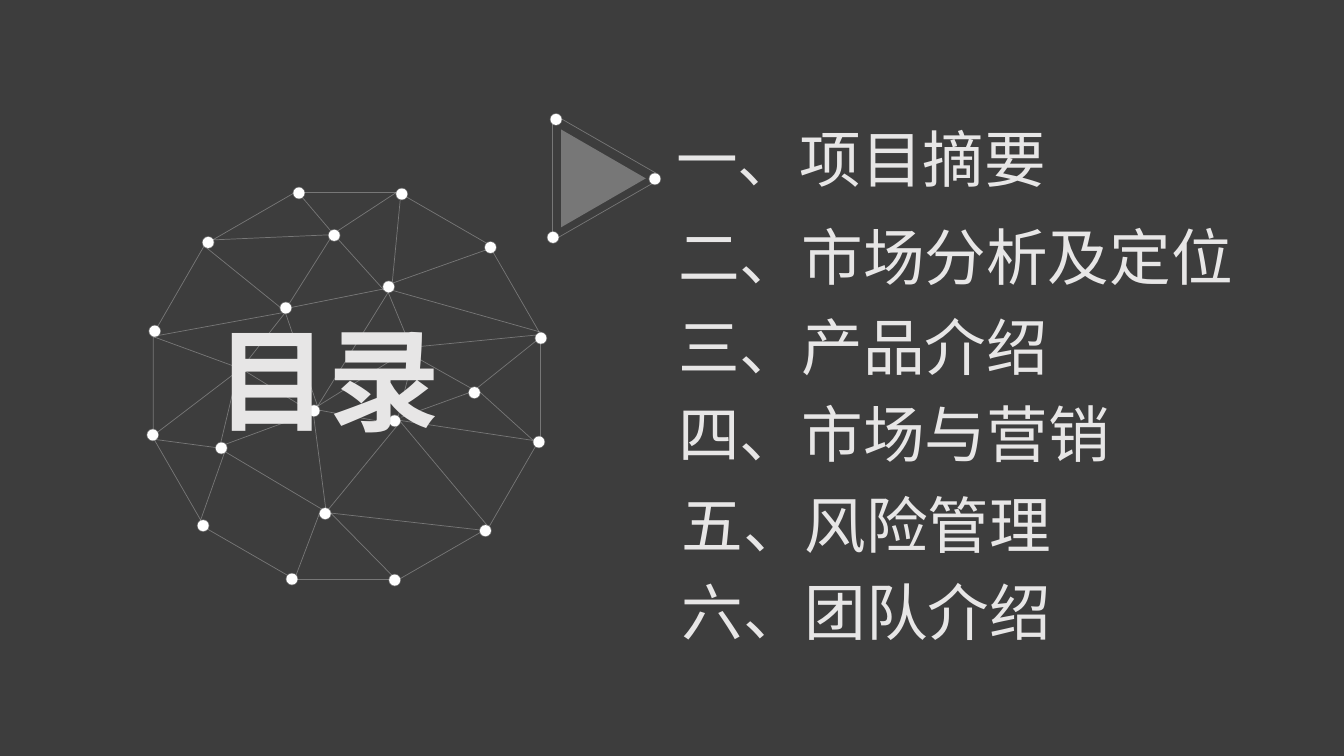
from pptx import Presentation
from pptx.dml.color import RGBColor
from pptx.enum.shapes import MSO_CONNECTOR, MSO_SHAPE
from pptx.enum.text import MSO_ANCHOR, MSO_AUTO_SIZE, PP_ALIGN
from pptx.oxml.ns import qn
from pptx.util import Inches, Pt
from lxml import etree

STRAIGHT = MSO_CONNECTOR.STRAIGHT
OVAL, DODECAGON, TRIANGLE = MSO_SHAPE.OVAL, MSO_SHAPE.DODECAGON, MSO_SHAPE.ISOSCELES_TRIANGLE
LEFT, CENTER = PP_ALIGN.LEFT, PP_ALIGN.CENTER
CHARCOAL = RGBColor(0x3D, 0x3D, 0x3D)
WHITE = RGBColor(0xFF, 0xFF, 0xFF)
PALE = RGBColor(0xE7, 0xE6, 0xE6)
FONT = "Noto Sans CJK SC"

# Grid: 75 rows of square cells, all lengths below are in cells
CELL = Inches(7.5) / 75
DOT = 1.1

# Left and top of each dot
NETWORK_DOTS = [
    (14.8, 32.3), (20.1, 23.5), (29.1, 18.6), (39.3, 18.7), (48.1, 24), (53.1, 33),
    (52.9, 43.3), (47.6, 52.1), (38.6, 57), (28.4, 56.9), (19.6, 51.6), (14.6, 42.6),
    (32.6, 22.8), (27.8, 30), (38, 27.9), (40.5, 34.2), (30.6, 40.2), (23.4, 35.9),
    (21.4, 43.9), (38.6, 41.2), (31.7, 50.4), (46.5, 38.4),
]
# Start and end of each thread
NETWORK_THREADS = [
    (29.4, 18.9, 32.8, 22.9), (39.3, 19.1, 33.5, 22.9), (39.7, 19.8, 38.9, 28.1),
    (21.1, 23.8, 32.6, 23.3), (32.8, 23.6, 28.7, 30.1), (20.5, 24.6, 27.8, 30.5),
    (15.6, 33.3, 28.7, 30.9), (38.5, 29, 31.5, 40.3), (28.9, 30.5, 38.4, 28.6),
    (33.5, 23.7, 38.1, 28.8), (28.3, 31, 31.5, 40.3), (28.3, 31, 24.3, 36.1),
    (15.2, 33.4, 23.4, 36.4), (23.6, 36.8, 15.6, 42.9), (24.3, 36.8, 30.6, 40.7),
    (38.9, 28.1, 48.2, 24.8), (38.9, 28.8, 53.8, 33), (41.4, 34.4, 53.6, 33.2),
    (38.5, 29, 40.7, 34.3), (40.5, 34.7, 31.5, 40.3), (41, 35.3, 46.7, 38.5),
    (47.6, 38.9, 52.9, 43.7), (41, 35.3, 39.5, 41.3), (39.8, 41.4, 46.7, 38.9),
    (39.6, 41.7, 52.9, 43.7), (48.3, 52.1, 39.6, 41.7), (31.7, 40.7, 38.7, 42),
    (30.7, 41, 22.3, 44.1), (23.6, 36.8, 21.9, 43.9), (15.4, 43.6, 21.4, 44.4),
    (22.3, 44.8, 19.9, 51.6), (22.3, 44.8, 31.9, 50.5), (39.5, 42.1, 32.6, 50.5),
    (32.8, 50.9, 48.7, 52.7), (31.7, 50.9, 29.2, 57.5), (32.8, 50.9, 38.9, 57.1),
    (31.1, 41.2, 32.3, 50.4), (53.7, 33.4, 47.2, 38.6),
]
POINTER_DOTS = [(64.4, 17.2), (54.6, 11.3), (54.3, 23)]
POINTER_THREADS = [
    (65.1, 17.2, 55.7, 11.8), (54.8, 12.2, 54.8, 23), (55.3, 23.6, 65.4, 17.8),
]
# Agenda lines: left, top, width, wording
AGENDA = [
    (66.1, 11.5, 39, "一、项目摘要"),
    (66.3, 21.2, 67, "二、市场分析及定位"),
    (66.3, 30.2, 46.2, "三、产品介绍"),
    (66.3, 38.8, 55.2, "四、市场与营销"),
    (66.6, 47.8, 46.2, "五、风险管理"),
    (66.6, 56.4, 46.2, "六、团队介绍"),
]


def cells(*counts):
    return [round(count * CELL) for count in counts]


def write(box, place, wording, size, align, bold):
    box.left, box.top, box.width, box.height = cells(*place)
    frame = box.text_frame
    frame.word_wrap = True
    frame.auto_size = MSO_AUTO_SIZE.SHAPE_TO_FIT_TEXT
    frame.vertical_anchor = MSO_ANCHOR.TOP
    para = frame.paragraphs[0]
    para.alignment = align
    para.line_spacing = 1.0
    span = para.add_run()
    span.text = wording
    span.font.size, span.font.bold, span.font.name = Pt(size), bold, FONT
    span.font.color.rgb = PALE
    latin = span.font._element.find(qn("a:latin"))
    east_asian = etree.Element(qn("a:ea"), typeface=FONT)
    latin.addnext(east_asian)


deck = Presentation()
deck.slide_width, deck.slide_height = Inches(13.33), Inches(7.5)
page = deck.slides.add_slide(deck.slide_layouts[5])
page.background.fill.solid()
page.background.fill.fore_color.rgb = CHARCOAL

# Groups: the globe-like network and the pointer beside the agenda
network = page.shapes.add_group_shape()
pointer = page.shapes.add_group_shape()

# Outline of the network
rim = network.shapes.add_shape(DODECAGON, *cells(15.2, 19.1, 38.4, 38.4))
rim.shadow.inherit = False
rim.fill.background()
rim.line.color.rgb = WHITE
rim.line.width = Pt(0.5)

# Solid part of the pointer
arrow = pointer.shapes.add_shape(TRIANGLE, *cells(55, 13.5, 9.7, 8.4))
arrow.rotation = 90
arrow.shadow.inherit = False
arrow.fill.solid()
arrow.fill.fore_color.rgb = WHITE
arrow.line.fill.background()

# Dots and threads of both groups
for group, dots, threads in (
    (network, NETWORK_DOTS, NETWORK_THREADS),
    (pointer, POINTER_DOTS, POINTER_THREADS),
):
    for ends in threads:
        thread = group.shapes.add_connector(STRAIGHT, *cells(*ends))
        thread.line.color.rgb = WHITE
        thread.line.width = Pt(0.5)
        etree.SubElement(thread._element.spPr, qn("a:effectLst"))
    for left, top in dots:
        dot = group.shapes.add_shape(OVAL, *cells(left, top, DOT, DOT))
        dot.shadow.inherit = False
        dot.fill.solid()
        dot.fill.fore_color.rgb = WHITE
        dot.line.color.rgb = WHITE
        dot.line.width = Pt(1)

    # Lines, and the fill of the pointer, are 30% opaque
    faint = group._element.xpath(".//a:ln/a:solidFill/a:srgbClr")
    if group is pointer:
        faint += arrow._element.xpath("./p:spPr/a:solidFill/a:srgbClr")
    for colour in faint:
        etree.SubElement(colour, qn("a:alpha"), val="30000")

# Title in front of the network
title = page.shapes.title
page.shapes._spTree.append(title._element)
write(title, (8.9, 30.3, 49.9, 14.5), "目录 ", 80, CENTER, True)

# Agenda
for left, top, width, wording in AGENDA:
    box = page.shapes.add_textbox(0, 0, 0, 0)
    write(box, (left, top, width, 8.4), wording, 44, LEFT, False)

deck.save("out.pptx")
